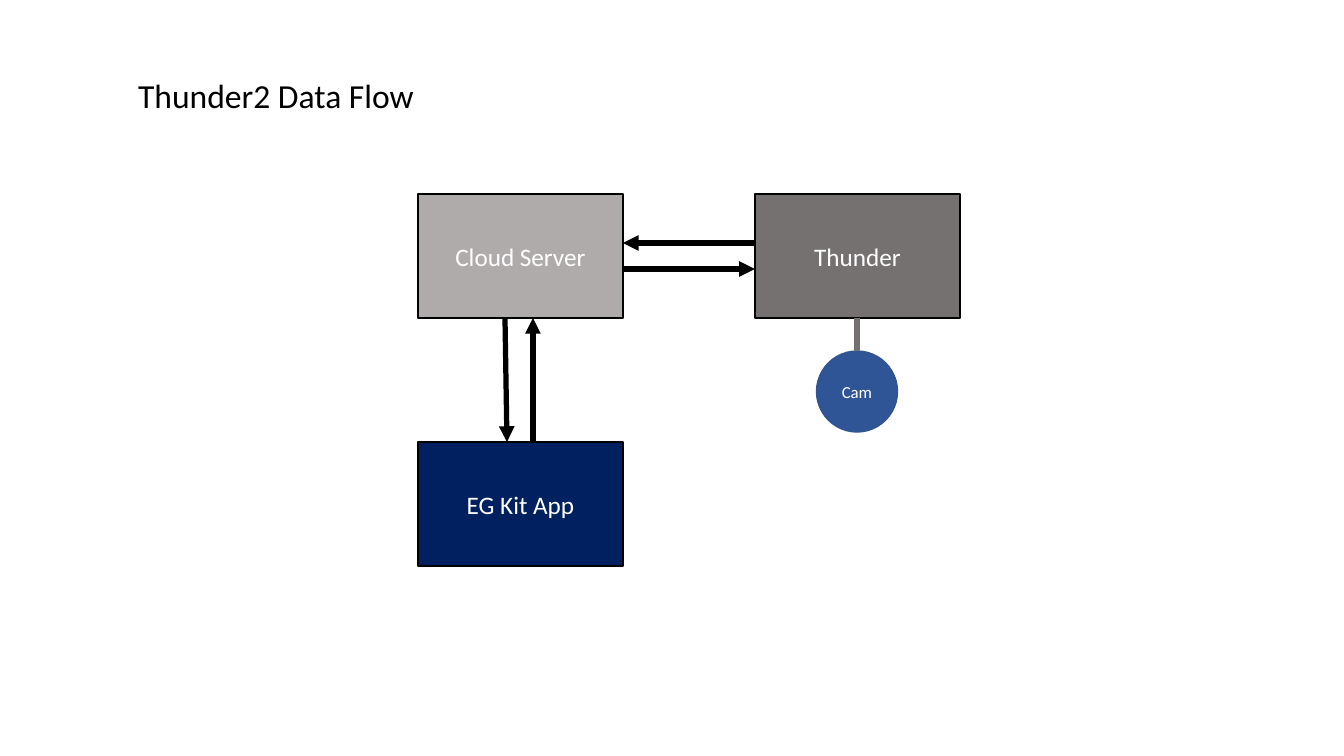
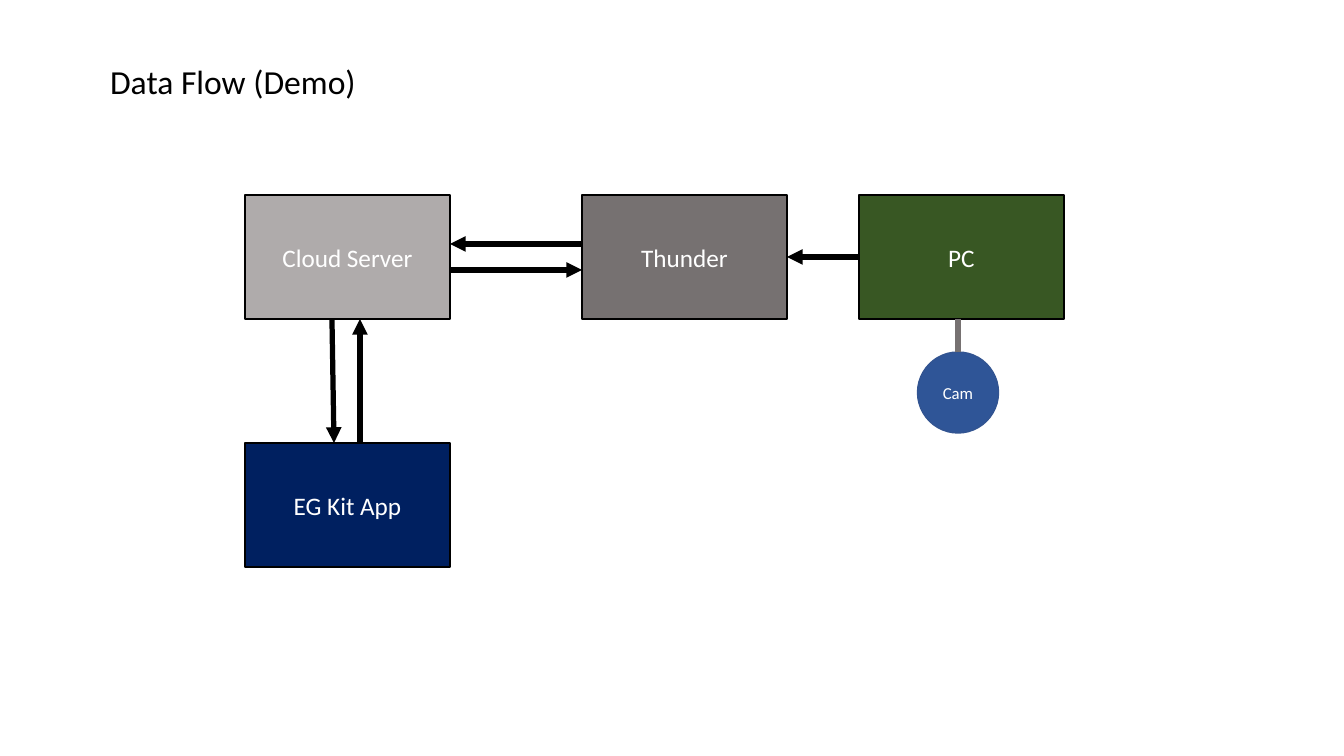
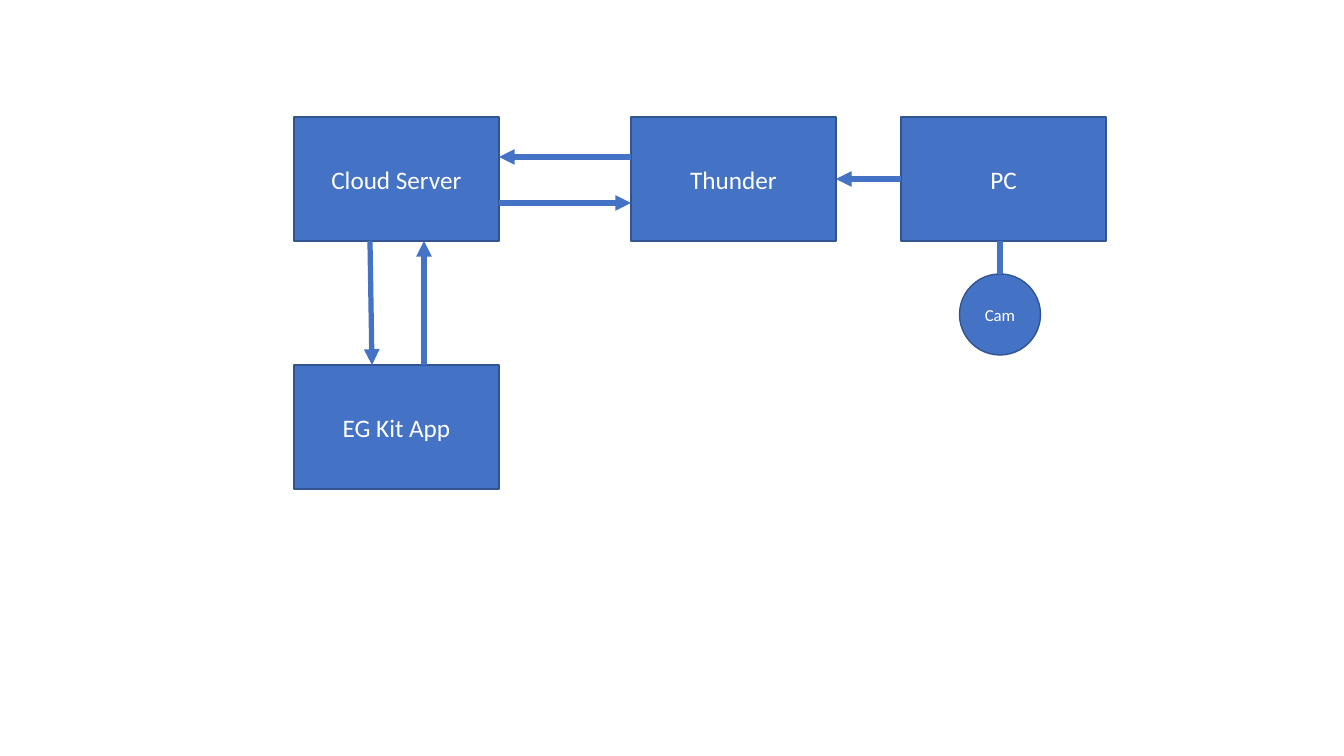
from pptx import Presentation
from pptx.dml.color import RGBColor
from pptx.enum.shapes import MSO_CONNECTOR, MSO_SHAPE
from pptx.enum.text import MSO_ANCHOR, MSO_AUTO_SIZE, PP_ALIGN
from pptx.oxml.ns import qn
from pptx.util import Pt
from lxml.etree import SubElement

SCALE = 914400 / 100.8
FONT = "Calibri"
HEX = {
    "black": "000000", "white": "FFFFFF", "silver": "AFABAB", "gray": "767171",
    "navy": "002060", "green": "385723", "cam": "2F5597", "blue": "4472C4",
    "edge": "325491",
}
INK = {name: RGBColor.from_string(code) for name, code in HEX.items()}

# Shared sizes
BOX_W, BOX_H, STEP = 205, 124, 337
CAM, STEM = 81, 33

# What differs from slide to slide; rows and cols are arrow offsets in the server box
MIXED = {"server": "silver", "app": "navy", "thunder": "gray", "pc": "green",
         "cam": "cam", "edge": "black", "arrow": "black", "stem": "gray"}
PLAIN = dict.fromkeys(MIXED, "blue") | {"edge": "edge"}
FLOWS = [
    {"title": ("Thunder2 Data Flow", 128, 70), "left": 418, "top": 194, "pc": None,
     "cam": 857, "rows": (49, 75), "cols": (87, 115), "look": MIXED},
    {"title": ("Data Flow (Demo)", 100, 56), "left": 245, "top": 195, "pc": 859,
     "cam": 958, "rows": (49, 75), "cols": (87, 115), "look": MIXED},
    {"title": None, "left": 294, "top": 117, "pc": 901,
     "cam": 1000, "rows": (40, 86), "cols": (76, 130), "look": PLAIN},
]


def px(*nums):
    return [round(n * SCALE) for n in nums]


def style(frame, size, color, align, anchor):
    frame.vertical_anchor = anchor
    para = frame.paragraphs[0]
    para.alignment = align
    font = para.runs[0].font
    font.name, font.size = FONT, Pt(size)
    font.color.rgb = INK[color]


deck = Presentation()
deck.slide_width, deck.slide_height = px(1344, 756)

for flow in FLOWS:
    slide = deck.slides.add_slide(deck.slide_layouts[5 if flow["title"] else 6])
    look, left, top = flow["look"], flow["left"], flow["top"]
    right, base = left + BOX_W, top + BOX_H
    thunder, app = left + STEP, top + 2 * BOX_H

    # Title
    if flow["title"]:
        words, x, y = flow["title"]
        title = slide.shapes.title
        title.left, title.top, title.width, title.height = px(x, y, 320, 50)
        frame = title.text_frame
        frame.text = words
        frame.word_wrap = True
        frame.auto_size = MSO_AUTO_SIZE.SHAPE_TO_FIT_TEXT
        style(frame, 24, "black", PP_ALIGN.LEFT, MSO_ANCHOR.TOP)

    # Boxes and camera
    rect = MSO_SHAPE.RECTANGLE
    nodes = [
        ("Cloud Server", rect, left, top, BOX_W, BOX_H, "server", look["edge"], 18),
        ("EG Kit App", rect, left, app, BOX_W, BOX_H, "app", look["edge"], 18),
        ("Thunder", rect, thunder, top, BOX_W, BOX_H, "thunder", look["edge"], 18),
        ("Cam", MSO_SHAPE.OVAL, flow["cam"] - CAM / 2, base + STEM, CAM, CAM,
         "cam", "edge", 12),
    ]
    if flow["pc"]:
        nodes.append(("PC", rect, flow["pc"], top, BOX_W, BOX_H, "pc", look["edge"], 18))
    for label, kind, x, y, wide, high, role, edge, size in nodes:
        node = slide.shapes.add_shape(kind, *px(x, y, wide, high))
        node.shadow.inherit = False
        node.fill.solid()
        node.fill.fore_color.rgb = INK[look[role]]
        node.line.color.rgb = INK[edge]
        node.line.width = Pt(1)
        node.text_frame.text = label
        style(node.text_frame, size, "white", PP_ALIGN.CENTER, MSO_ANCHOR.MIDDLE)

    # Arrows and camera stem
    back, forth = (top + row for row in flow["rows"])
    down, up = (left + col for col in flow["cols"])
    links = [
        (thunder, back, right, back, "arrow"),
        (right, forth, thunder, forth, "arrow"),
        (down, base, down + 2, app, "arrow"),
        (up, app, up, base, "arrow"),
        (flow["cam"], base, flow["cam"], base + STEM, "stem"),
    ]
    if flow["pc"]:
        mid = top + BOX_H / 2
        links.append((flow["pc"], mid, thunder + BOX_W, mid, "arrow"))
    for *ends, role in links:
        link = slide.shapes.add_connector(MSO_CONNECTOR.STRAIGHT, *px(*ends))
        link.line.color.rgb = INK[look[role]]
        link.line.width = Pt(3.75)
        if role == "arrow":
            SubElement(link.line._get_or_add_ln(), qn("a:tailEnd"), type="triangle")
        SubElement(link._element.spPr, qn("a:effectLst"))

deck.save("out.pptx")
